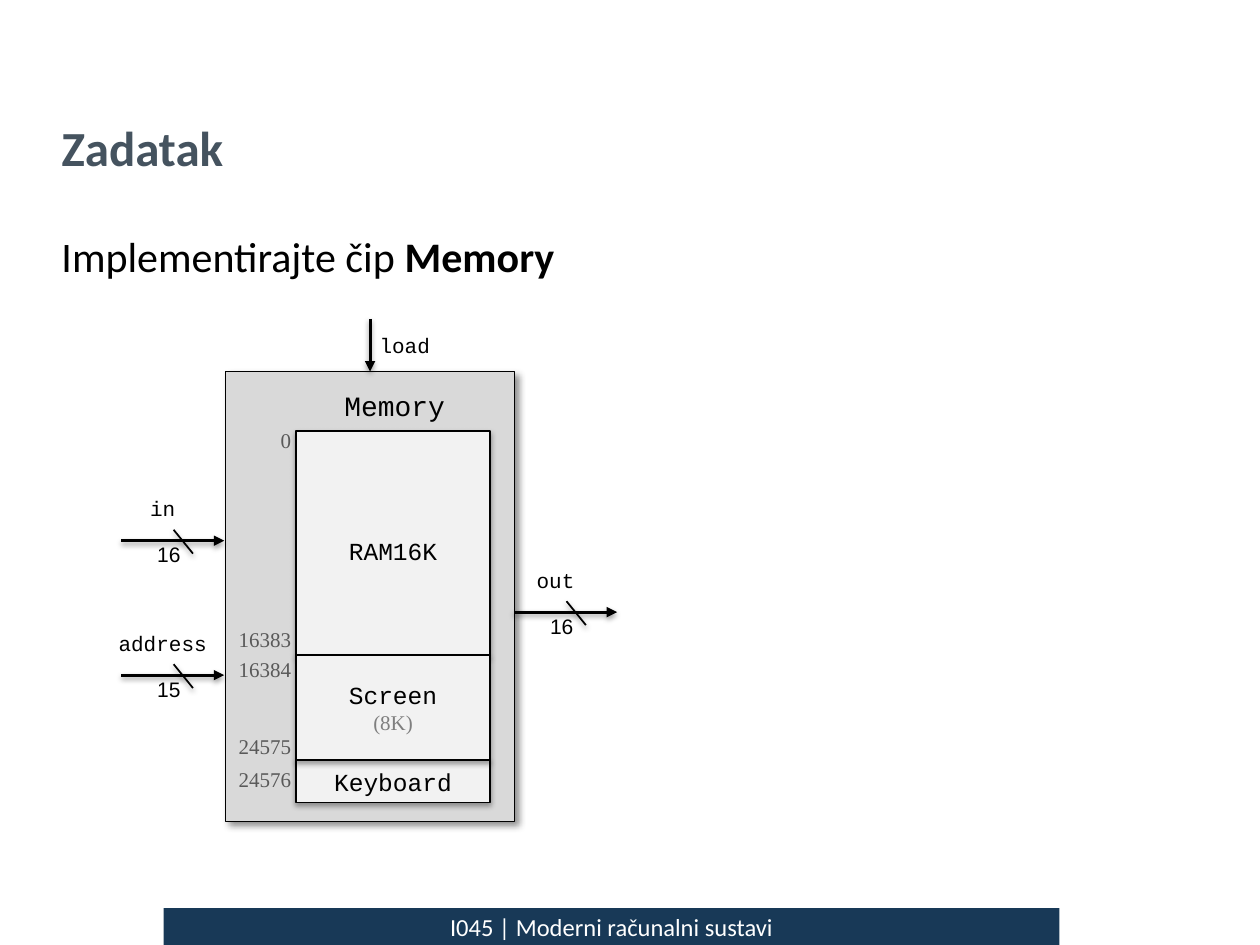
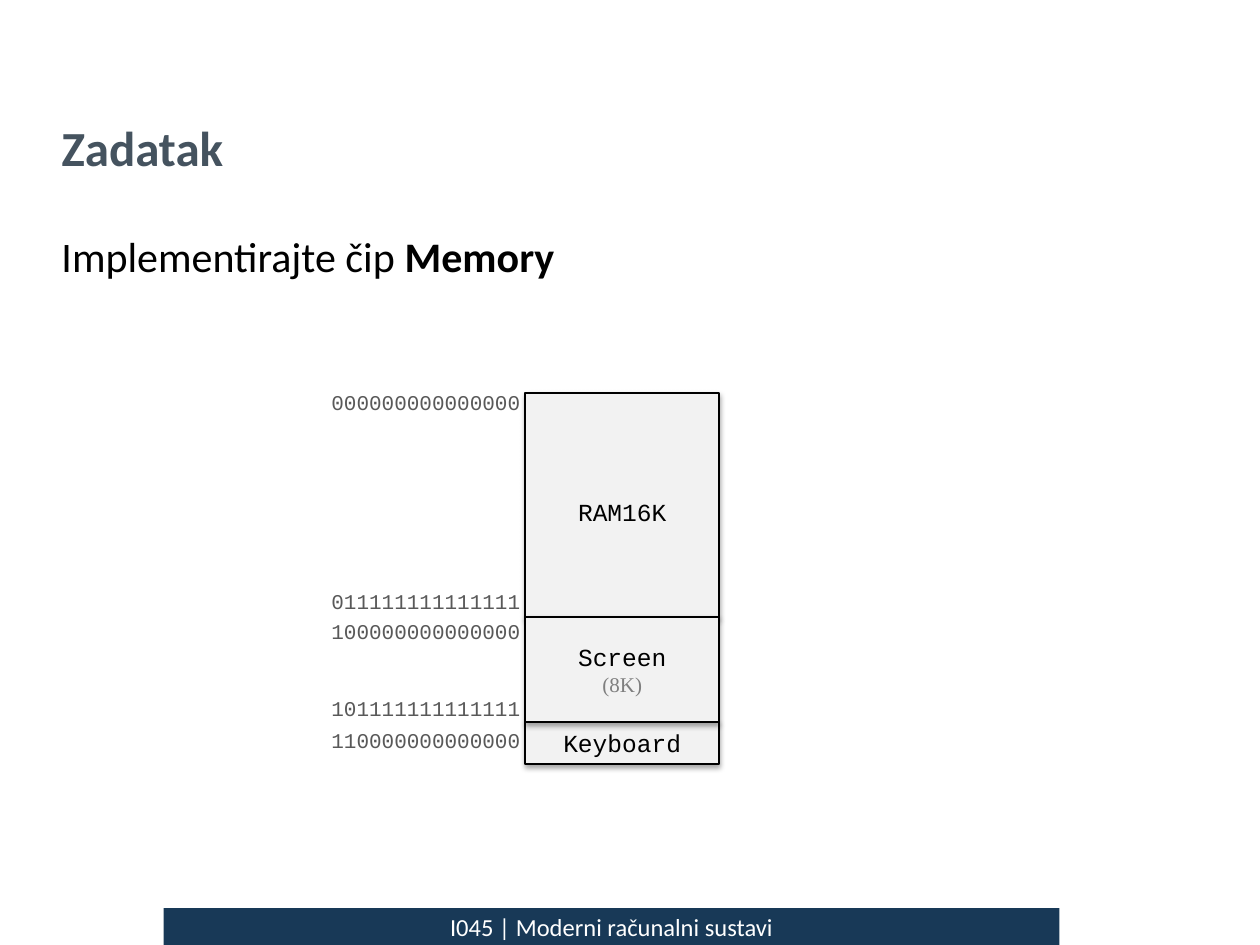
"""Build two exercise slides about the Memory chip and its address map."""
from dataclasses import dataclass

from lxml import etree
from pptx import Presentation
from pptx.dml.color import RGBColor
from pptx.enum.shapes import MSO_CONNECTOR, MSO_SHAPE
from pptx.enum.text import MSO_ANCHOR, PP_ALIGN
from pptx.oxml.ns import qn
from pptx.util import Cm, Pt

RECTANGLE = MSO_SHAPE.RECTANGLE
STRAIGHT = MSO_CONNECTOR.STRAIGHT
TOP, MIDDLE = MSO_ANCHOR.TOP, MSO_ANCHOR.MIDDLE
LEFT, CENTER, RIGHT = PP_ALIGN.LEFT, PP_ALIGN.CENTER, PP_ALIGN.RIGHT

BLACK, WHITE, NAVY, SLATE = "000000", "FFFFFF", "183957", "45535F"
CHIP_GRAY, SEGMENT_GRAY = "D9D9D9", "F2F2F2"
ADDRESS_GRAY, NOTE_GRAY = "595959", "7F7F7F"
SANS, MONO, SERIF, ARIAL = "Calibri", "Courier New", "Times New Roman", "Arial"
LABEL_HEIGHT = 0.76


@dataclass(frozen=True)
class Box:
    """A rectangle in centimetres."""
    left: float
    top: float
    width: float
    height: float

    def lengths(self) -> tuple:
        """Return the four lengths for python-pptx."""
        return Cm(self.left), Cm(self.top), Cm(self.width), Cm(self.height)


@dataclass(frozen=True)
class Shadow:
    """An outer shadow: percent opacity, points and degrees."""
    opacity: int
    blur: float
    distance: float
    angle: int


@dataclass(frozen=True)
class Line:
    """One paragraph of text in a single style."""
    text: str
    font: str = MONO
    size: int = 12
    color: str = BLACK
    bold: bool = False


@dataclass(frozen=True)
class Segment:
    """A part of the memory map, placed from the top of the map."""
    top: float
    height: float
    lines: tuple
    top_inset: float = 0.13


@dataclass(frozen=True)
class Wire:
    """A bus with a name and a width in bits."""
    name: str
    bits: str
    left: float
    y: float


@dataclass(frozen=True)
class MemoryMap:
    """A column of segments with addresses on its left."""
    left: float
    top: float
    font: str
    label_width: float
    addresses: tuple


CHIP_SHADOW = Shadow(43, 4, 3, 45)
SEGMENT_SHADOW = Shadow(35, 3.1, 1.8, 90)
WIRE_SHADOW = Shadow(38, 3.1, 1.6, 90)
CHIP = Box(4.55, 7.49, 5.82, 9.07)
MAP_WIDTH = 3.91
ADDRESS_TOPS = (-0.2, 3.82, 4.42, 5.97, 6.63)
SEGMENTS = (
    Segment(0, 4.52, (Line("RAM16K", size=14),), 0.41),
    Segment(6.63, 0.86, (Line("Keyboard", size=14),)),
    Segment(4.52, 2.11, (Line("Screen", size=14), Line("(8K)", SERIF, 12, NOTE_GRAY))),
)
WIRES = (
    Wire("in", "16", 2.44, 10.9),
    Wire("address", "15", 2.44, 13.61),
    Wire("out", "16", 10.36, 12.34),
)
DECIMAL_MAP = MemoryMap(5.97, 8.69, SERIF, 2.6, ("0", "16383", "16384", "24575", "24576"))
BINARY_MAP = MemoryMap(10.59, 7.92, MONO, 5.2, (
    "000000000000000", "011111111111111", "100000000000000",
    "101111111111111", "110000000000000"))


def rgb(color: str) -> RGBColor:
    """Turn a hex string into a colour."""
    return RGBColor.from_string(color)


def add_shadow(shape, shadow: Shadow) -> None:
    """Give a shape or connector an outer shadow."""
    properties = shape._element.spPr
    effects = properties.find(qn("a:effectLst"))
    if effects is None:
        effects = etree.SubElement(properties, qn("a:effectLst"))
    outer = etree.SubElement(
        effects, qn("a:outerShdw"), blurRad=str(Pt(shadow.blur)),
        dist=str(Pt(shadow.distance)), dir=str(shadow.angle * 60000),
        algn="tl", rotWithShape="0")
    color = etree.SubElement(outer, qn("a:srgbClr"), val=BLACK)
    etree.SubElement(color, qn("a:alpha"), val=str(shadow.opacity * 1000))


def style_paragraph(paragraph, line: Line, alignment) -> None:
    """Apply a line's style to a paragraph."""
    paragraph.alignment = alignment
    font = paragraph.font
    font.name, font.size, font.bold = line.font, Pt(line.size), line.bold
    font.color.rgb = rgb(line.color)


def write(shape, lines: tuple, alignment, anchor=TOP) -> None:
    """Write styled lines into a shape."""
    frame = shape.text_frame
    frame.word_wrap = True
    frame.vertical_anchor = anchor
    frame.text = "\n".join(line.text for line in lines)
    for paragraph, line in zip(frame.paragraphs, lines):
        style_paragraph(paragraph, line, alignment)


def add_label(slide, box: Box, line: Line, alignment=CENTER):
    """Add a text box with one line."""
    label = slide.shapes.add_textbox(*box.lengths())
    write(label, (line,), alignment)
    return label


def add_rectangle(slide, box: Box, fill: str, outline: float = 0, shadow: Shadow | None = None):
    """Add a filled rectangle with an optional outline and shadow."""
    rectangle = slide.shapes.add_shape(RECTANGLE, *box.lengths())
    rectangle.shadow.inherit = False
    rectangle.fill.solid()
    rectangle.fill.fore_color.rgb = rgb(fill)
    if outline:
        rectangle.line.color.rgb = rgb(BLACK)
        rectangle.line.width = Pt(outline)
    else:
        rectangle.line.fill.background()
    if shadow:
        add_shadow(rectangle, shadow)
    return rectangle


def add_line(slide, start: tuple, end: tuple, width: float, arrow: bool = False):
    """Add a straight line, with an arrowhead at its end if asked."""
    connector = slide.shapes.add_connector(STRAIGHT, *(Cm(value) for value in start + end))
    connector.line.color.rgb = rgb(BLACK)
    connector.line.width = Pt(width)
    if arrow:
        outline = connector._element.spPr.find(qn("a:ln"))
        etree.SubElement(outline, qn("a:tailEnd"), type="triangle")
    add_shadow(connector, WIRE_SHADOW)
    return connector


def add_wire(slide, wire: Wire) -> None:
    """Draw a bus arrow with its slash, name and bit width."""
    left, y = wire.left, wire.y
    add_line(slide, (left, y), (left + 2.08, y), 1.75, arrow=True)
    add_line(slide, (left + 1.06, y - 0.22), (left + 1.45, y + 0.26), 1)
    add_label(slide, Box(left - 0.33, y - 1.03, 2.34, LABEL_HEIGHT), Line(wire.name))
    add_label(slide, Box(left + 0.43, y - 0.1, 1.02, LABEL_HEIGHT),
              Line(wire.bits, ARIAL), RIGHT)


def add_memory_map(slide, memory_map: MemoryMap) -> None:
    """Draw the segments and their first and last addresses."""
    for segment in SEGMENTS:
        box = Box(memory_map.left, memory_map.top + segment.top, MAP_WIDTH, segment.height)
        rectangle = add_rectangle(slide, box, SEGMENT_GRAY, 1, SEGMENT_SHADOW)
        rectangle.text_frame.margin_top = Cm(segment.top_inset)
        write(rectangle, segment.lines, CENTER, MIDDLE)
    label_left = memory_map.left + 0.15 - memory_map.label_width
    for address, offset in zip(memory_map.addresses, ADDRESS_TOPS):
        box = Box(label_left, memory_map.top + offset, memory_map.label_width, LABEL_HEIGHT)
        add_label(slide, box, Line(address, memory_map.font, 12, ADDRESS_GRAY), RIGHT)


def add_chip(slide) -> None:
    """Draw the chip body with its load input."""
    chip = add_rectangle(slide, CHIP, CHIP_GRAY, 0.75, CHIP_SHADOW)
    add_label(slide, Box(6.05, 7.7, 3.81, 0.94), Line("Memory", size=16))
    middle = CHIP.left + CHIP.width / 2
    load = add_line(slide, (middle, 6.43), (middle, CHIP.top), 1.75, arrow=True)
    load.end_connect(chip, 0)
    add_label(slide, Box(6.99, 6.58, 2.34, LABEL_HEIGHT), Line("load"))


def add_task_slide(presentation):
    """Add a slide with the shared footer, title and task."""
    slide = presentation.slides.add_slide(presentation.slide_layouts[5])
    footer = add_rectangle(slide, Box(3.3, 18.31, 18.06, 0.74), NAVY)
    write(footer, (Line("I045 | Moderni računalni sustavi", SANS, 14, WHITE),), CENTER, MIDDLE)
    title = slide.shapes.title
    title.left, title.top, title.width, title.height = Box(0.99, 2.16, 18.39, 1.6).lengths()
    write(title, (Line("Zadatak", SANS, 28, SLATE, True),), LEFT, MIDDLE)
    task = add_label(slide, Box(0.99, 4.52, 22.61, 1.3),
                     Line("Implementirajte čip ", SANS, 24), LEFT)
    chip_name = task.text_frame.paragraphs[0].add_run()
    chip_name.text = "Memory"
    chip_name.font.bold = True
    return slide


def main() -> None:
    """Build and save the presentation."""
    presentation = Presentation()
    presentation.slide_width, presentation.slide_height = Cm(25.4), Cm(19.05)

    chip_slide = add_task_slide(presentation)
    add_chip(chip_slide)
    add_memory_map(chip_slide, DECIMAL_MAP)
    for wire in WIRES:
        add_wire(chip_slide, wire)

    add_memory_map(add_task_slide(presentation), BINARY_MAP)
    presentation.save("out.pptx")


if __name__ == "__main__":
    main()
